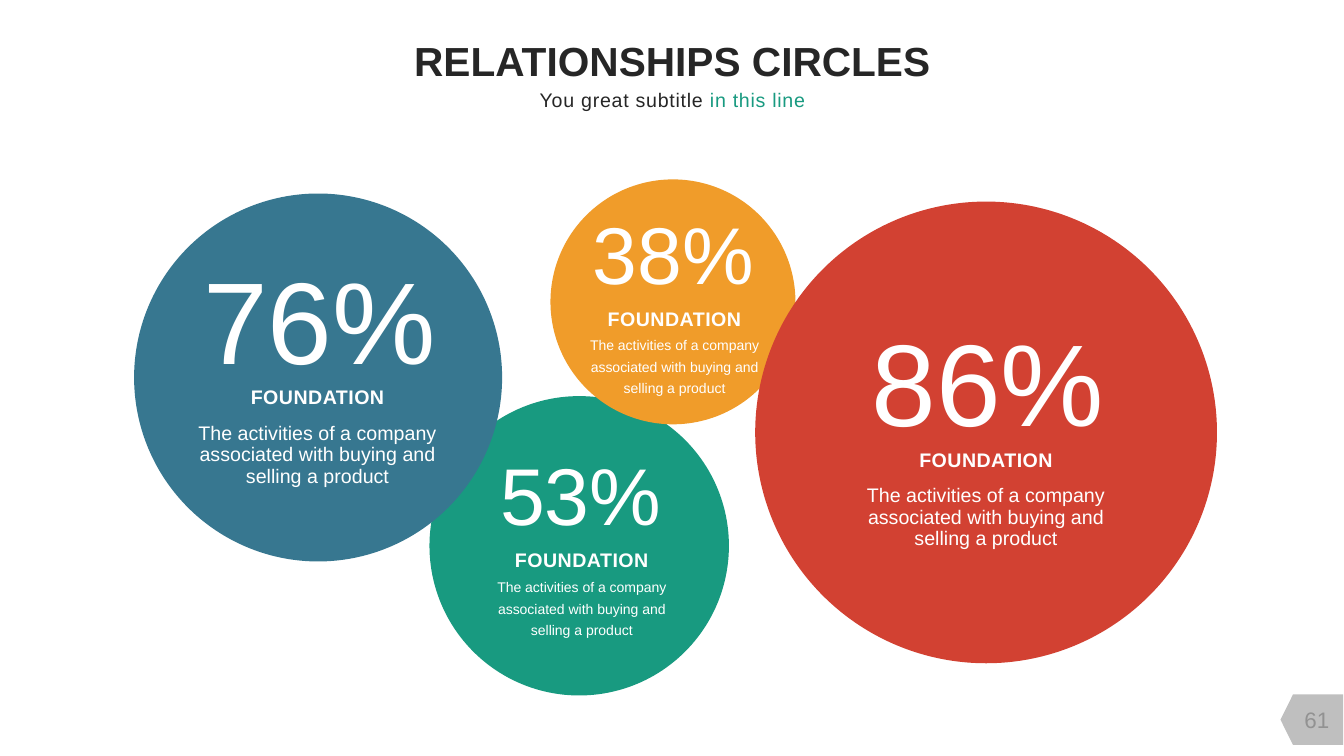
from typing import NamedTuple

from pptx import Presentation
from pptx import util as u
from pptx.dml.color import RGBColor
from pptx.enum import shapes, text

FONT = "Arial"
WHITE, DARK, GREEN, GREY = "FFFFFF", "262626", "189A80", "BFBFBF"
BODY = "The activities of a company associated with buying and selling a product"


class Style(NamedTuple):
    """Sizes in points; tops of label and body are measured from the number."""
    num_size: float
    num_width: float
    num_height: float
    num_shift: float
    label_drop: float
    body_size: float
    body_width: float
    body_drop: float


class Circle(NamedTuple):
    left: float
    top: float
    size: float
    color: str
    value: str
    mid: float
    num_top: float
    style: Style


LARGE = Style(83, 2.33, 1.4, 0.02, 1.36, 14, 2.83, 1.73)
SMALL = Style(57.5, 1.61, 0.97, -0.01, 1.02, 10, 2.04, 1.27)
CIRCLES = [
    Circle(4.26, 3.93, 2.97, GREEN, "53%", 5.77, 4.42, SMALL),
    Circle(1.33, 1.92, 3.65, "377790", "76%", 3.15, 2.46, LARGE),
    Circle(5.46, 1.78, 2.43, "F09C2A", "38%", 6.69, 2.02, SMALL),
    Circle(7.49, 2, 4.58, "D24132", "86%", 9.78, 3.08, LARGE),
]


def rgb(code: str) -> RGBColor:
    return RGBColor.from_string(code)


def add_shape(slide, kind, left: float, top: float, width: float, height: float, color: str):
    shape = slide.shapes.add_shape(
        kind, u.Inches(left), u.Inches(top), u.Inches(width), u.Inches(height))
    shape.shadow.inherit = False
    shape.fill.solid()
    shape.fill.fore_color.rgb = rgb(color)
    shape.line.fill.background()
    return shape


def add_text(slide, parts: list[tuple[str, str]], mid: float, top: float, width: float,
             height: float, size: float, bold: bool = False, wrap: bool = False,
             gap: float = 0, lead: float = 0, centre: bool = False) -> None:
    """Centre a box on mid; parts pair words with colours, gap is letter spacing."""
    box = slide.shapes.add_textbox(
        u.Inches(mid - width / 2), u.Inches(top), u.Inches(width), u.Inches(height))
    frame = box.text_frame
    frame.margin_left = frame.margin_right = frame.margin_top = frame.margin_bottom = 0
    frame.word_wrap = wrap
    frame.auto_size = text.MSO_AUTO_SIZE.SHAPE_TO_FIT_TEXT
    frame.vertical_anchor = text.MSO_ANCHOR.MIDDLE if centre else text.MSO_ANCHOR.TOP
    para = frame.paragraphs[0]
    para.alignment = text.PP_ALIGN.CENTER
    if lead:
        para.line_spacing = u.Pt(lead)
    font = para.font
    font.name, font.size, font.bold = FONT, u.Pt(size), bold
    if gap:
        para._p.pPr.get_or_add_defRPr().set("spc", str(round(gap * 100)))
    if len(parts) == 1:
        font.color.rgb = rgb(parts[0][1])
    for words, color in parts:
        run = para.add_run()
        run.text = words
        if len(parts) > 1:
            run.font.color.rgb = rgb(color)


def add_caption(slide, circle: Circle) -> None:
    style, top = circle.style, circle.num_top
    add_text(slide, [(BODY, WHITE)], circle.mid, top + style.body_drop,
             style.body_width, 0.67, style.body_size, wrap=True, lead=15.5)
    add_text(slide, [(circle.value, WHITE)], circle.mid + style.num_shift, top,
             style.num_width, style.num_height, style.num_size)
    add_text(slide, [("FOUNDATION", WHITE)], circle.mid, top + style.label_drop,
             1.33, 0.24, 14, bold=True, gap=0.3)


def main() -> None:
    deck = Presentation()
    deck.slide_width, deck.slide_height = u.Inches(13.33), u.Inches(7.5)
    slide = deck.slides.add_slide(deck.slide_layouts[6])
    kinds = shapes.MSO_SHAPE

    tab = add_shape(slide, kinds.FLOWCHART_OFFPAGE_CONNECTOR, 12.76, 6.83, 0.5, 0.62, GREY)
    tab.rotation = 90
    add_text(slide, [("61", "929292")], 13.06, 7.01, 0.47, 0.25, 16, centre=True)

    for circle in CIRCLES:
        add_shape(slide, kinds.OVAL, circle.left, circle.top,
                  circle.size, circle.size, circle.color)
    for circle in CIRCLES:
        add_caption(slide, circle)

    mid = 6.67
    add_text(slide, [("RELATIONSHIPS CIRCLES", DARK)], mid, 0.35, 5.17, 0.49, 29,
             bold=True, centre=True)
    add_text(slide, [("You great subtitle ", DARK), ("in this line", GREEN)],
             mid, 0.87, 2.65, 0.24, 14, gap=0.5, centre=True)
    deck.save("out.pptx")


if __name__ == "__main__":
    main()
